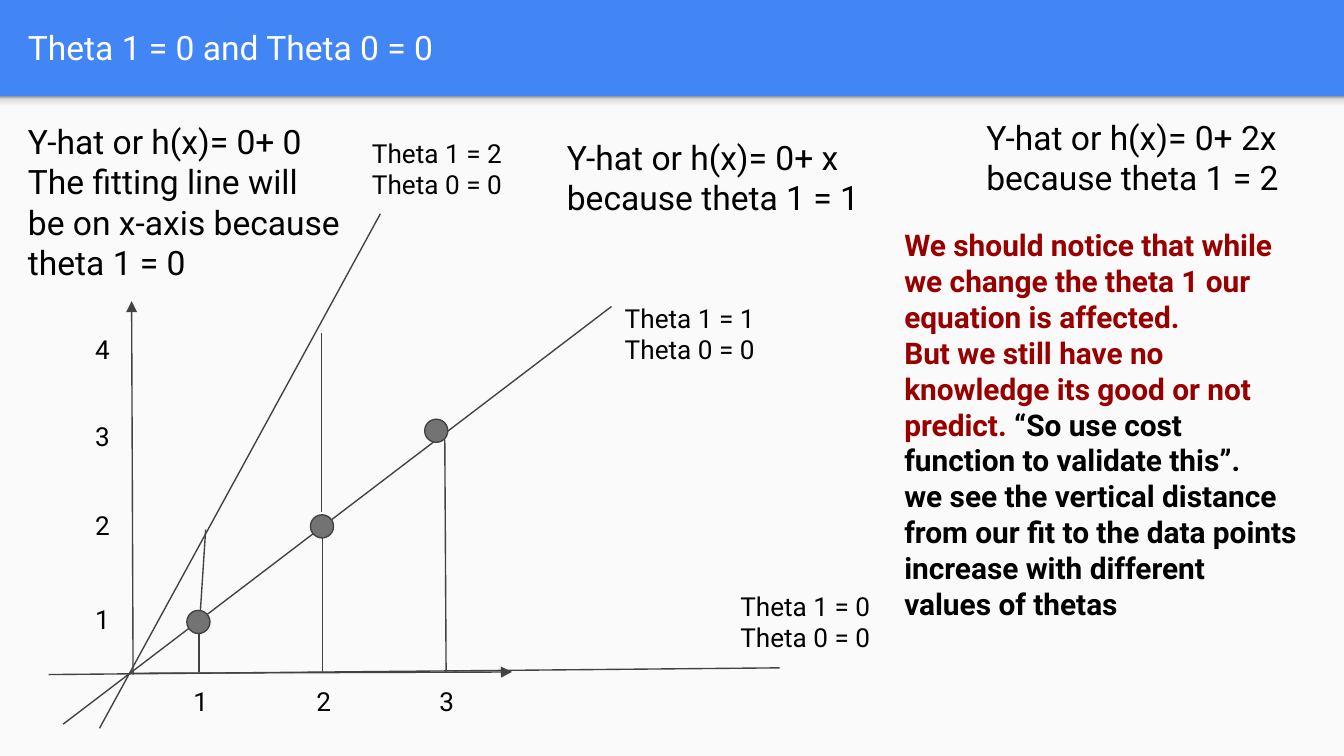
from lxml import etree
from pptx import Presentation
from pptx.dml.color import RGBColor
from pptx.enum.shapes import MSO_CONNECTOR as CONN, MSO_SHAPE as SHAPE
from pptx.enum.text import MSO_ANCHOR as ANCHOR
from pptx.oxml import parse_xml
from pptx.oxml.ns import nsdecls, qn
from pptx.util import Pt

BLUE = RGBColor(0x42, 0x85, 0xF4)
PANEL = RGBColor(0xFA, 0xFA, 0xFA)
WHITE = RGBColor(0xFF, 0xFF, 0xFF)
BLACK = RGBColor(0, 0, 0)
RED = RGBColor(0x98, 0, 0)
INK = RGBColor(0x42, 0x42, 0x42)
GREY = RGBColor(0x73, 0x73, 0x73)
SHADE = [(0, RGBColor(0xF9, 0xF9, 0xF9)), (36, RGBColor(0xF9, 0xF9, 0xF9)),
         (80, RGBColor(0xDE, 0xDE, 0xDE)), (100, RGBColor(0x99, 0x99, 0x99))]
FONT = "Roboto"


def add_text(slide, box, paragraphs, size, color=BLACK, bold=False, anchor=ANCHOR.TOP):
    tf = slide.shapes.add_textbox(*map(Pt, box)).text_frame
    tf.word_wrap = True
    tf.vertical_anchor = anchor
    tf.margin_left = tf.margin_right = tf.margin_top = tf.margin_bottom = Pt(7.2)
    for i, runs in enumerate(paragraphs):
        p = tf.add_paragraph() if i else tf.paragraphs[0]
        p.font.name, p.font.size, p.font.bold = FONT, Pt(size), bold
        if isinstance(runs, str):
            runs = [(runs, color)]
        for text, run_color in runs:
            r = p.add_run()
            r.text = text
            r.font.color.rgb = run_color


def add_filled(slide, kind, box, color):
    s = slide.shapes.add_shape(kind, *map(Pt, box))
    s.shadow.inherit = False
    s.fill.solid()
    s.fill.fore_color.rgb = color
    s.line.fill.background()
    return s


def add_line(slide, x1, y1, x2, y2, arrow=False):
    s = slide.shapes.add_connector(CONN.STRAIGHT, Pt(x1), Pt(y1), Pt(x2), Pt(y2))
    s.line.color.rgb = INK
    s.line.width = Pt(0.75)
    if arrow:
        etree.SubElement(s.line._get_or_add_ln(), qn("a:tailEnd"), type="triangle")
    etree.SubElement(s._element.spPr, qn("a:effectLst"))


def draw_frame(slide, left, top, width, height):
    slide.background.fill.solid()
    slide.background.fill.fore_color.rgb = BLUE
    header = 51.6
    add_filled(slide, SHAPE.RECTANGLE,
               (left, top + header, width, height - header), PANEL)
    s = add_filled(slide, SHAPE.RECTANGLE, (left, top + header, width, 8.6), PANEL)
    stops = "".join(f'<a:gs pos="{pos * 1000}"><a:srgbClr val="{color}"/></a:gs>'
                    for pos, color in SHADE)
    gradient = parse_xml(f'<a:gradFill {nsdecls("a")}><a:gsLst>{stops}</a:gsLst>'
                         '<a:lin ang="16200000" scaled="0"/></a:gradFill>')
    pr = s._element.spPr
    pr.replace(pr.find(qn("a:solidFill")), gradient)
    add_text(slide, (left + 7.9, top + 1.4, 695, 47.5),
             ["Theta 1 = 0 and Theta 0 = 0"], 18, WHITE, anchor=ANCHOR.MIDDLE)


def draw_plot(slide, left, top):
    axes = [(44.5, 294.7, 248.3, 294), (45.3, 295.4, 44.5, 95.3)]
    fits = [(0, 295.4, 391.6, 291.8), (7.8, 322, 301.6, 98.2),
            (27.3, 324.2, 177.8, 48.5)]
    distances = [(80.6, 273.1, 80.6, 294), (146.8, 222, 146.8, 294),
                 (212.3, 169.4, 213, 294), (146.1, 112.6, 146.1, 208.3),
                 (84.2, 217.7, 80.6, 273.1)]
    for x1, y1, x2, y2 in axes + fits + distances:
        add_line(slide, left + x1, top + y1, left + x2, top + y2,
                 arrow=(x1, y1, x2, y2) in axes)

    for i, x in enumerate((74.1, 140.3, 201.5)):
        s = add_filled(slide, SHAPE.OVAL,
                       (left + x, top + 261 - 51.2 * i, 12.4, 12.4), GREY)
        s.line.color.rgb = INK
        s.line.width = Pt(0.75)

    x_ticks = [(70.5 + 65.9 * i, 294) for i in range(3)]
    y_ticks = [(17.9, y) for y in (250.1, 199.7, 152.2, 105.4)]
    for ticks in (x_ticks, y_ticks):
        for value, (x, y) in enumerate(ticks, 1):
            add_text(slide, (left + x, top + y, 20.2, 32.4), [str(value)], 14)

    for theta, (x, y, width) in enumerate([(363.5, 242.9, 88), (301.6, 88.8, 101.5),
                                           (166.2, 0.2, 101.5)]):
        add_text(slide, (left + x, top + y, width, 47.5),
                 [f"Theta 1 = {theta}", "Theta 0 = 0"], 14)


def draw_equation(slide, box, term, reason):
    add_text(slide, box, [f"Y-hat or h(x)= 0+ {term}", reason], 18)


def draw_conclusion(slide, box):
    add_text(slide, box, [
        [("We should notice that while we change the theta 1 our equation is affected.",
          RED)],
        [("But we still have no knowledge its good or not predict. ", RED),
         ("“So use cost function to validate this”.", BLACK)],
        "we see the vertical distance from our fit to the data points increase "
        "with different values of thetas",
    ], 16, bold=True)


def main():
    prs = Presentation()
    prs.slide_width, prs.slide_height = Pt(720), Pt(405)
    slide = prs.slides.add_slide(prs.slide_layouts[6])
    draw_frame(slide, 0, 0, 720, 405)
    draw_plot(slide, 26, 66)
    draw_equation(slide, (7.9, 57.6, 181.4, 103), "0",
                  "The fitting line will be on x-axis because theta 1 = 0")
    draw_equation(slide, (296.6, 66.2, 181.4, 71.3), "x", "because theta 1 = 1")
    draw_equation(slide, (521.3, 55.4, 181.4, 71.3), "2x", "because theta 1 = 2")
    draw_conclusion(slide, (477.4, 114.5, 225.4, 251.3))
    prs.save("out.pptx")


if __name__ == "__main__":
    main()
